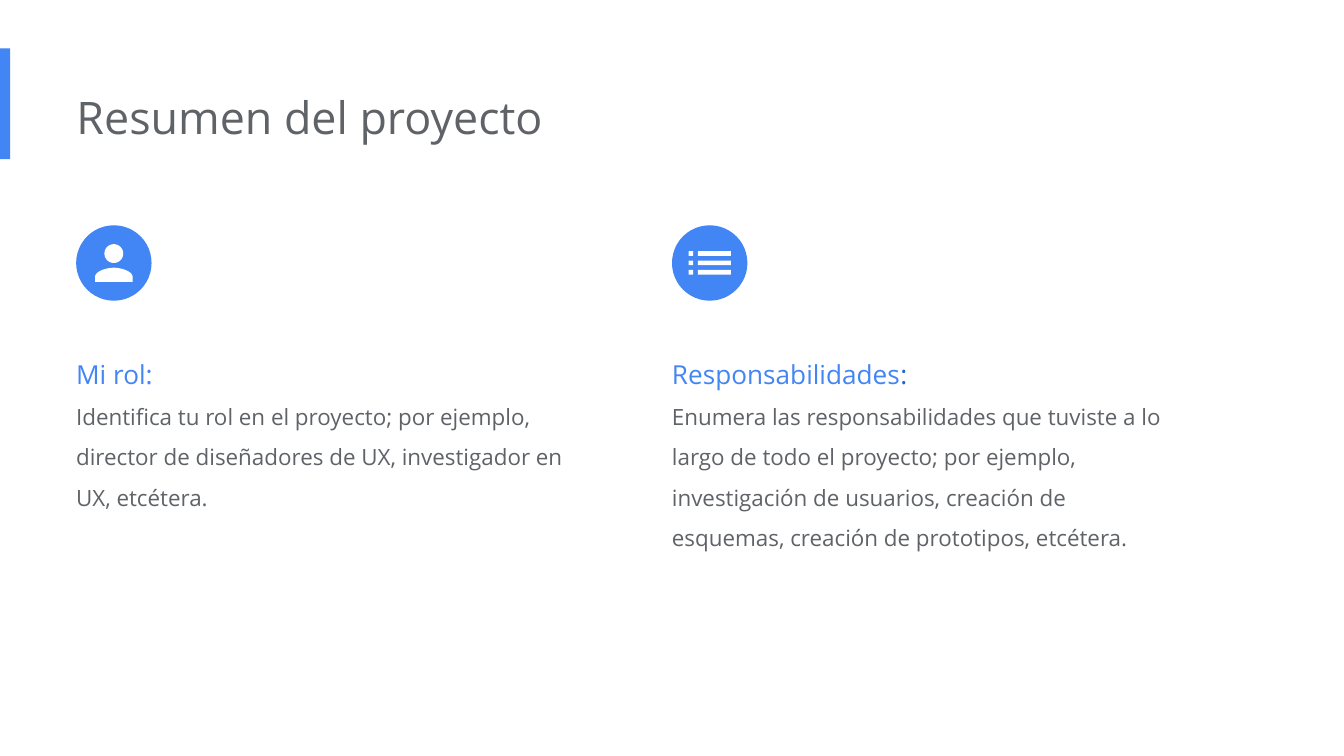
"""Build the project summary slide with a role and a responsibilities column."""
from math import cos, pi, sin

from pptx import Presentation
from pptx.dml.color import RGBColor
from pptx.enum.shapes import MSO_SHAPE
from pptx.enum.text import MSO_ANCHOR, MSO_AUTO_SIZE, PP_ALIGN
from pptx.util import Pt

COLORS = {"blue": "4285F4", "dark_blue": "1967D2", "gray": "5F6368", "white": "FFFFFF"}
FONT = "Open Sans"
CIRCLE_TOP, CIRCLE_SIZE = 120.7, 40.4
ICON_UNIT = 1.26


def paint(sp, color):
    sp.shadow.inherit = False
    sp.fill.solid()
    sp.fill.fore_color.rgb = RGBColor.from_string(COLORS[color])
    sp.line.fill.background()


def add_text(left, top, width, height, paragraphs, spacing):
    tf = slide.shapes.add_textbox(Pt(left), Pt(top), Pt(width), Pt(height)).text_frame
    tf.word_wrap = True
    tf.auto_size = MSO_AUTO_SIZE.SHAPE_TO_FIT_TEXT
    tf.vertical_anchor = MSO_ANCHOR.TOP
    tf.margin_left = 0
    tf.margin_top = tf.margin_right = tf.margin_bottom = Pt(7.2)
    for i, runs in enumerate(paragraphs):
        p = tf.paragraphs[0] if i == 0 else tf.add_paragraph()
        p.alignment = PP_ALIGN.LEFT
        p.line_spacing = spacing
        for text, size, color in runs:
            r = p.add_run()
            r.text = text
            r.font.name = FONT
            r.font.size = Pt(size)
            r.font.color.rgb = RGBColor.from_string(COLORS[color])


prs = Presentation()
prs.slide_width, prs.slide_height = Pt(720), Pt(405)
slide = prs.slides.add_slide(prs.slide_layouts[6])

accent = slide.shapes.add_shape(MSO_SHAPE.RECTANGLE, 0, Pt(26), Pt(5.5), Pt(59.3))
paint(accent, "blue")
add_text(41, 41, 484.6, 44, [[("Resumen del proyecto", 24, "gray")]], 1.0)

head = [(8 + 4 * cos(a * pi / 24), 4 + 4 * sin(a * pi / 24)) for a in range(48)]
steps = [i / 16 for i in range(17)]
shoulder = [
    (8 * (1 - t) ** 3 + 16 * t * (1 - t) ** 2,
     10 * (1 - t) ** 3 + 30 * t * (1 - t) ** 2 + 34 * t ** 2 * (1 - t) + 14 * t ** 3)
    for t in steps
]
body = shoulder + [(0, 16), (16, 16)] + [(16 - x, y) for x, y in reversed(shoulder)]
rows = [
    [(x1, y), (x2, y), (x2, y + 2), (x1, y + 2)]
    for y in (0, 4, 8) for x1, x2 in ((0, 2), (4, 18))
]

columns = [
    (40.8, [("Mi rol:", 14, "blue")],
     "Identifica tu rol en el proyecto; por ejemplo, director de diseñadores de UX, "
     "investigador en UX, etcétera.",
     76.3, [head, body], 16, 16),
    (360, [("Responsabilidades", 14, "blue"), (":", 14, "dark_blue")],
     "Enumera las responsabilidades que tuviste a lo largo de todo el proyecto; por ejemplo, "
     "investigación de usuarios, creación de esquemas, creación de prototipos, etcétera.",
     97.9, rows, 18, 10),
]

for left, heading, description, height, contours, icon_w, icon_h in columns:
    add_text(left, 176.4, 271.4, height, [heading, [(description, 12, "gray")]], 1.5)
    circle = slide.shapes.add_shape(
        MSO_SHAPE.OVAL, Pt(left), Pt(CIRCLE_TOP), Pt(CIRCLE_SIZE), Pt(CIRCLE_SIZE))
    paint(circle, "blue")

    x0 = left + (CIRCLE_SIZE - icon_w * ICON_UNIT) / 2
    y0 = CIRCLE_TOP + (CIRCLE_SIZE - icon_h * ICON_UNIT) / 2
    placed = [[(Pt(x0 + x * ICON_UNIT), Pt(y0 + y * ICON_UNIT)) for x, y in c] for c in contours]
    icon = slide.shapes.build_freeform(*placed[0][0])
    for i, points in enumerate(placed):
        if i:
            icon.move_to(*points[0])
        icon.add_line_segments(points[1:], close=True)
    paint(icon.convert_to_shape(), "white")

prs.save("out.pptx")
